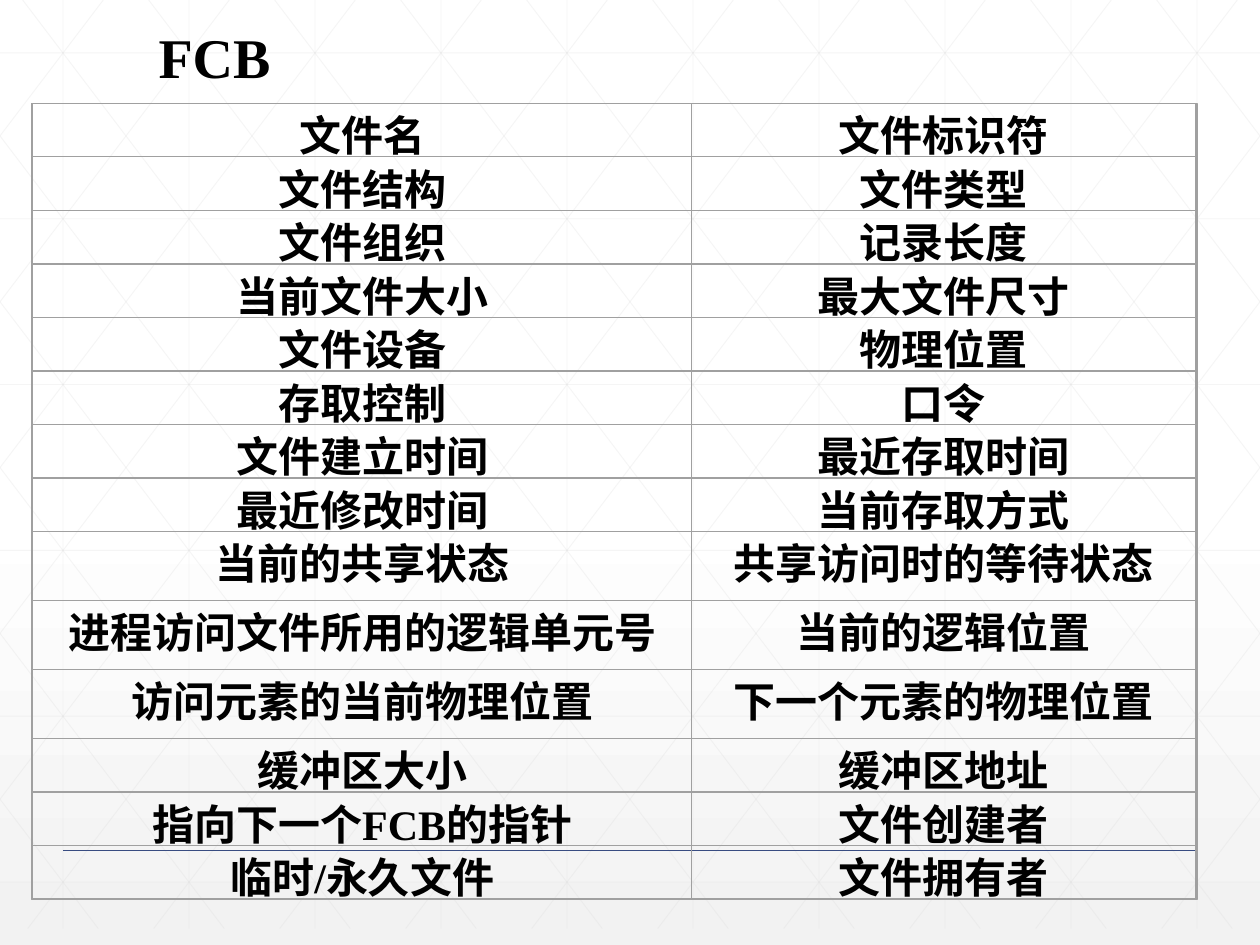
"""Build the FCB slide: a two-column grid of file control block fields."""
from lxml.etree import SubElement
from pptx import Presentation
from pptx.dml.color import RGBColor
from pptx.enum.shapes import MSO_CONNECTOR, MSO_SHAPE
from pptx.enum.text import MSO_AUTO_SIZE, PP_ALIGN
from pptx.oxml.ns import qn
from pptx.util import Inches, Pt

WIDTH, GRID_BOTTOM = 10, 7.37
SLOPE = 1.316
FIELDS = [
    ("文件名", "文件标识符"),
    ("文件结构", "文件类型"),
    ("文件组织", "记录长度"),
    ("当前文件大小", "最大文件尺寸"),
    ("文件设备", "物理位置"),
    ("存取控制", "口令"),
    ("文件建立时间", "最近存取时间"),
    ("最近修改时间", "当前存取方式"),
    ("当前的共享状态", "共享访问时的等待状态"),
    ("进程访问文件所用的逻辑单元号", "当前的逻辑位置"),
    ("访问元素的当前物理位置", "下一个元素的物理位置"),
    ("缓冲区大小", "缓冲区地址"),
    ("指向下一个FCB的指针", "文件创建者"),
    ("临时/永久文件", "文件拥有者"),
]
TALL_ROWS = (8, 9, 10)
SHORT_HEIGHT, TALL_HEIGHT = 3.4 / 8, 1.64 / 3
COLUMNS = [(0.26, 5.23), (5.49, 4)]
PADDING = 0.15


def write_text(shapes, text, box, size, align=PP_ALIGN.LEFT, wrap=True):
    text_box = shapes.add_textbox(*[Inches(value) for value in box])
    frame = text_box.text_frame
    frame.word_wrap = wrap
    frame.auto_size = MSO_AUTO_SIZE.NONE if wrap else MSO_AUTO_SIZE.SHAPE_TO_FIT_TEXT
    paragraph = frame.paragraphs[0]
    paragraph.alignment = align
    run = paragraph.add_run()
    run.text = text
    run.font.name = "Times New Roman"
    run.font.size = Pt(size)
    run.font.bold = True
    run.font.color.rgb = RGBColor.from_string("000000")


def add_line(shapes, ends, color, width):
    line = shapes.add_connector(MSO_CONNECTOR.STRAIGHT, *[Inches(value) for value in ends])
    line.line.color.rgb = RGBColor.from_string(color)
    line.line.width = Pt(width)
    SubElement(line._element.spPr, qn("a:effectLst"))
    return line


presentation = Presentation()
presentation.slide_width, presentation.slide_height = Inches(WIDTH), Inches(7.5)
slide = presentation.slides.add_slide(presentation.slide_layouts[6])

background = slide.background.fill
background.gradient()
background.gradient_angle = 270
for stop, position, color in zip(background.gradient_stops, (0.53, 1), ("FFFFFF", "F2F2F2")):
    stop.position = position
    stop.color.rgb = RGBColor.from_string(color)

grid_lines = [(0.5 + column, 0, 0.5 + column, GRID_BOTTOM) for column in range(10)]
grid_lines += [(0, 0.42 + SLOPE * row, WIDTH, 0.42 + SLOPE * row) for row in range(6)]
for step in range(-5, 10):
    start = 0.18 + step
    left = max(start, 0)
    right = min(start + GRID_BOTTOM / SLOPE, WIDTH)
    top, bottom = (left - start) * SLOPE, (right - start) * SLOPE
    grid_lines.append((left, top, right, bottom))
    grid_lines.append((WIDTH - left, top, WIDTH - right, bottom))

grid = slide.shapes.add_group_shape()
for ends in grid_lines:
    line = add_line(grid.shapes, ends, "D9D9D9", 0.5)
    for color_element in line._element.spPr.iter(qn("a:srgbClr")):
        SubElement(color_element, qn("a:alpha"), val="25000")
add_line(slide.shapes, (0.5, 6.75, 9.5, 6.75), "384C81", 1)

field_group = slide.shapes.add_group_shape()
outlines = []
top = 0.82
for row, names in enumerate(FIELDS):
    height = TALL_HEIGHT if row in TALL_ROWS else SHORT_HEIGHT
    for name, (left, width) in zip(names, COLUMNS):
        text_area = (left + PADDING, top, width - 2 * PADDING, height)
        write_text(field_group.shapes, name, text_area, 24, align=PP_ALIGN.CENTER)
        outlines.append((left, top, width, height, 0))
    top += height
outlines.append((0.25, 0.82, 9.25, 6.32, 0.75))

for *box, line_width in outlines:
    outline = field_group.shapes.add_shape(
        MSO_SHAPE.RECTANGLE, *[Inches(value) for value in box]
    )
    outline.shadow.inherit = False
    outline.fill.background()
    outline.line.color.rgb = RGBColor.from_string("A0A0A0")
    outline.line.width = Pt(line_width)

write_text(slide.shapes, "FCB", (1.16, 0.13, 1.09, 0.63), 32, wrap=False)

presentation.save("out.pptx")
